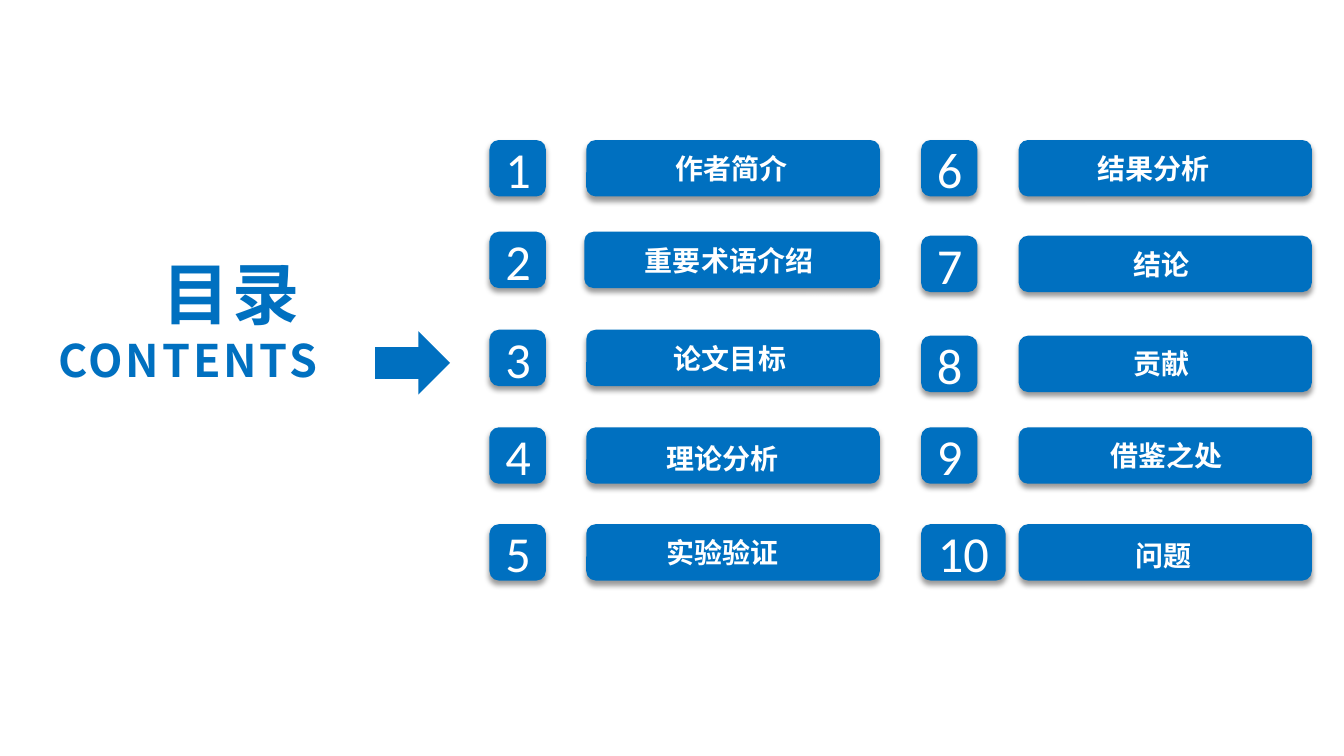
"""Build a contents slide with ten numbered entries in two columns."""
from dataclasses import dataclass

from lxml.etree import SubElement
from pptx import Presentation
from pptx.dml.color import RGBColor
from pptx.enum.shapes import MSO_SHAPE as Preset
from pptx.enum.text import MSO_ANCHOR as Anchor, MSO_AUTO_SIZE as AutoSize, PP_ALIGN as Align
from pptx.oxml.ns import qn
from pptx.shapes.autoshape import Shape
from pptx.shapes.shapetree import GroupShapes, SlideShapes
from pptx.text.text import TextFrame, _Paragraph as Paragraph
from pptx.util import Cm, Pt

COLORS = {"blue": "0070C0", "white": "FFFFFF", "shadow": "000000"}
HAN_FONT = "Noto Sans CJK SC"
DIGIT_FONT = "Calibri"
ROW_HEIGHT = 1.42
BADGE_WIDTH = 1.42
BADGE_LEFTS = (12.34, 23.22)
BAR_LEFTS = (14.78, 25.68)
BAR_RIGHTS = (22.18, 33.07)
ENTRIES_PER_COLUMN = 5


@dataclass(frozen=True)
class Entry:
    label: str
    top: float
    label_left: float
    label_drop: float = 0.12
    bar_shift: float = 0
    badge_width: float = BADGE_WIDTH


ENTRIES = (
    Entry("作者简介", 3.53, 16.69),
    Entry("重要术语介绍", 5.84, 15.93, bar_shift=-0.05),
    Entry("论文目标", 8.31, 16.66),
    Entry("理论分析", 10.77, 16.46, label_drop=0.18),
    Entry("实验验证", 13.21, 16.46, label_drop=0.1),
    Entry("结果分析", 3.53, 27.33, label_drop=0.1),
    Entry("结论", 5.94, 28.24),
    Entry("贡献", 8.46, 28.24, label_drop=0.1),
    Entry("借鉴之处", 10.77, 27.66, label_drop=0.1),
    Entry("问题", 13.21, 28.3, label_drop=0.18, badge_width=2.13),
)


def set_insets(frame: TextFrame) -> None:
    frame.margin_left = frame.margin_right = Cm(0.33)
    frame.margin_top = frame.margin_bottom = Cm(0.18)
    frame.word_wrap = True


def style_paragraph(para: Paragraph, size: float, name: str, color: str,
                    bold: bool = False, spacing: float = 0) -> None:
    font = para.font
    font.size, font.name, font.bold = Pt(size), name, bold
    font.color.rgb = RGBColor.from_string(COLORS[color])
    SubElement(font._rPr, qn("a:ea"), typeface=name)
    if spacing:
        font._rPr.set("spc", str(int(spacing * 100)))


def add_solid(shapes: SlideShapes | GroupShapes, preset: Preset, left: float,
              top: float, width: float, height: float) -> Shape:
    shape = shapes.add_shape(preset, Cm(left), Cm(top), Cm(width), Cm(height))
    shape.fill.solid()
    shape.fill.fore_color.rgb = RGBColor.from_string(COLORS["blue"])
    shape.line.fill.background()
    shape.shadow.inherit = False
    return shape


def add_tile(shapes: SlideShapes | GroupShapes, left: float, top: float,
             width: float) -> Shape:
    tile = add_solid(shapes, Preset.ROUNDED_RECTANGLE, left, top, width, ROW_HEIGHT)
    effects = tile._element.spPr.find(qn("a:effectLst"))
    shadow = SubElement(effects, qn("a:outerShdw"), blurRad=str(Pt(4)), dist=str(Pt(3)),
                        dir="5400000", algn="t", rotWithShape="0")
    tint = SubElement(shadow, qn("a:srgbClr"), val=COLORS["shadow"])
    SubElement(tint, qn("a:alpha"), val="40000")
    return tile


def add_text_box(shapes: SlideShapes | GroupShapes, left: float, top: float,
                 width: float, height: float) -> TextFrame:
    box = shapes.add_textbox(Cm(left), Cm(top), Cm(width), Cm(height))
    set_insets(box.text_frame)
    box.text_frame.auto_size = AutoSize.SHAPE_TO_FIT_TEXT
    return box.text_frame


def add_entry(shapes: SlideShapes, index: int, entry: Entry) -> None:
    column = index // ENTRIES_PER_COLUMN
    badge = add_tile(shapes, BADGE_LEFTS[column], entry.top, entry.badge_width)
    frame = badge.text_frame
    set_insets(frame)
    frame.vertical_anchor = Anchor.MIDDLE
    frame.text = str(index + 1)
    frame.paragraphs[0].alignment = Align.CENTER
    style_paragraph(frame.paragraphs[0], 36, DIGIT_FONT, "white")

    group = shapes.add_group_shape()
    bar_left = BAR_LEFTS[column] + entry.bar_shift
    add_tile(group.shapes, bar_left, entry.top, BAR_RIGHTS[column] - bar_left)
    label_width = 0.73 * len(entry.label) + 0.7
    label = add_text_box(group.shapes, entry.label_left, entry.top + entry.label_drop,
                         label_width, 1.19)
    label.text = entry.label
    style_paragraph(label.paragraphs[0], 20, HAN_FONT, "white", bold=True)


def add_title(shapes: SlideShapes) -> None:
    frame = add_text_box(shapes, 0.53, 6.17, 7.8, 3.76)
    frame.text = "目录 \nCONTENTS"
    for para, size in zip(frame.paragraphs, (48, 32)):
        para.alignment = Align.RIGHT
        style_paragraph(para, size, HAN_FONT, "blue", bold=True, spacing=2)


def main() -> None:
    deck = Presentation()
    deck.slide_width, deck.slide_height = Cm(33.88), Cm(19.05)
    page = deck.slides.add_slide(deck.slide_layouts[6])
    add_title(page.shapes)
    arrow = add_solid(page.shapes, Preset.DOWN_ARROW, 9.6, 8.2, 1.6, 1.89)
    arrow.left, arrow.top = Cm(9.6), Cm(8.2)
    arrow.rotation = 270
    for index, entry in enumerate(ENTRIES):
        add_entry(page.shapes, index, entry)
    deck.save("out.pptx")


if __name__ == "__main__":
    main()
